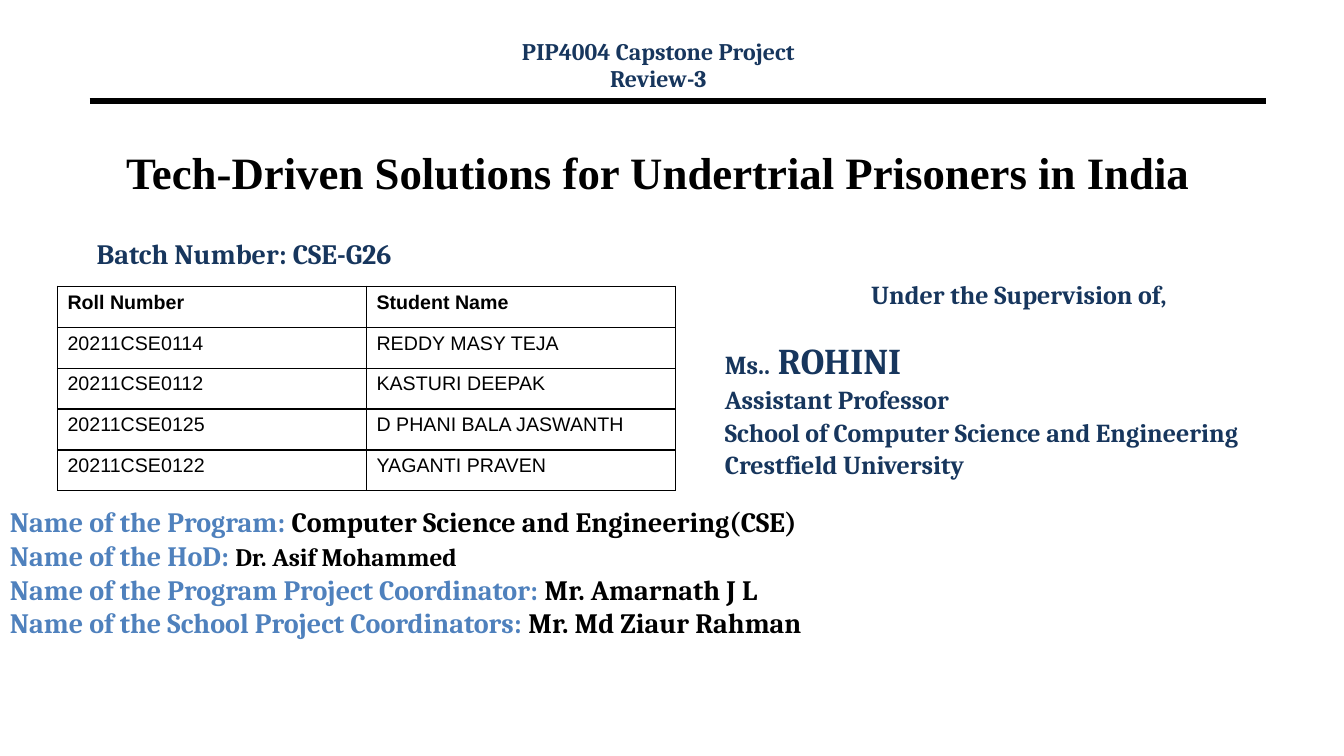
from lxml import etree
from pptx import Presentation
from pptx.dml.color import RGBColor
from pptx.enum.shapes import MSO_CONNECTOR
from pptx.enum.text import MSO_ANCHOR, PP_ALIGN
from pptx.oxml.ns import qn
from pptx.util import Inches, Pt

CENTER, LEFT = PP_ALIGN.CENTER, PP_ALIGN.LEFT
MIDDLE = MSO_ANCHOR.MIDDLE
STRAIGHT = MSO_CONNECTOR.STRAIGHT
TITLE_ONLY = 5

NAVY, BLUE, BLACK = "17365D", "4F81BD", "000000"

STUDENTS = [
    ("Roll Number", "Student Name"),
    ("20211CSE0114", "REDDY MASY TEJA"),
    ("20211CSE0112", "KASTURI DEEPAK"),
    ("20211CSE0125", "D PHANI BALA JASWANTH"),
    ("20211CSE0122", "YAGANTI PRAVEN"),
]
STAFF = [
    ("Name of the Program: ", "Computer Science and Engineering(CSE)", 20),
    ("Name of the HoD: ", "Dr. Asif Mohammed", 18),
    ("Name of the Program Project Coordinator: ", "Mr. Amarnath J L", 20),
    ("Name of the School Project Coordinators: ", "Mr. Md Ziaur Rahman", 20),
]
SUPERVISOR_DETAILS = [
    "Assistant Professor",
    "School of Computer Science and Engineering",
    "Crestfield University",
]


def rgb(value):
    return RGBColor.from_string(value)


def add_span(para, text, size=20, color=NAVY, font="Cambria", bold=True):
    span = para.add_run()
    span.text = text
    span.font.size = Pt(size)
    span.font.name = font
    span.font.bold = bold
    span.font.color.rgb = rgb(color)


def add_para(frame, align=LEFT, line=1.0, before=0):
    """Return a new paragraph, using the frame's first one while it is empty."""
    first = frame.paragraphs[0]
    para = frame.add_paragraph() if first.runs else first
    para.alignment = align
    para.line_spacing = line
    para.space_before = Pt(before)
    return para


def place(shape, left, top, width, height):
    shape.left, shape.top = Inches(left), Inches(top)
    shape.width, shape.height = Inches(width), Inches(height)


def add_box(page, left, top, width, height):
    box = page.shapes.add_textbox(
        Inches(left), Inches(top), Inches(width), Inches(height))
    box.text_frame.word_wrap = True
    return box.text_frame


def add_rule(page, left, right, y, width):
    rule = page.shapes.add_connector(
        STRAIGHT, Inches(left), Inches(y), Inches(right), Inches(y))
    rule.line.color.rgb = rgb(BLACK)
    rule.line.width = Pt(width)
    etree.SubElement(rule._element.spPr, qn("a:effectLst"))


def add_borders(cell, width=1):
    properties = cell._tc.get_or_add_tcPr()
    for index, side in enumerate(("lnL", "lnR", "lnT", "lnB")):
        border = etree.Element(qn(f"a:{side}"), w=str(Pt(width)))
        fill = etree.SubElement(border, qn("a:solidFill"))
        etree.SubElement(fill, qn("a:srgbClr"), val=BLACK)
        properties.insert(index, border)


def add_student_table(page, left, top, width, height):
    table = page.shapes.add_table(
        len(STUDENTS), len(STUDENTS[0]),
        Inches(left), Inches(top), Inches(width), Inches(height)).table
    for row, values in enumerate(STUDENTS):
        for column, text in enumerate(values):
            cell = table.cell(row, column)
            cell.fill.background()
            add_borders(cell)
            add_span(add_para(cell.text_frame), text, size=14, color=BLACK,
                     font="Arial", bold=row == 0)


def set_title(page, text):
    title = page.shapes.title
    place(title, 1.08, 1.38, 10.9, 0.64)
    frame = title.text_frame
    frame.word_wrap = False
    frame.vertical_anchor = MIDDLE
    add_span(add_para(frame, align=CENTER), text, size=32, color=BLACK,
             font="Times New Roman")


def add_supervisor(page):
    frame = add_box(page, 7.09, 2.75, 6.03, 2.21)
    add_span(add_para(frame, align=CENTER, line=0.9),
             "Under the Supervision of,", size=18.5)
    name = add_para(frame, line=0.9, before=23.4)
    add_span(name, "Ms..", size=18.5)
    add_span(name, " ROHINI", size=25.9)
    for text in SUPERVISOR_DETAILS:
        add_span(add_para(frame, line=0.9, before=3.4), text, size=18.5)


def add_staff(page):
    frame = add_box(page, 0, 4.96, 13.33, 1.71)
    for role, name, size in STAFF:
        para = add_para(frame)
        add_span(para, role, color=BLUE)
        add_span(para, name, size=size, color=BLACK)


def main():
    deck = Presentation()
    deck.slide_width, deck.slide_height = Inches(13.33), Inches(7.5)
    page = deck.slides.add_slide(deck.slide_layouts[TITLE_ONLY])

    add_rule(page, 0.89, 12.56, 1, 4.5)
    header = add_box(page, 4.36, 0.37, 4.34, 0.6)
    add_span(add_para(header, align=CENTER, line=0.8),
             "PIP4004 Capstone Project", size=17)
    add_span(add_para(header, align=CENTER, line=0.8, before=3.1),
             "Review-3", size=17)

    set_title(page, "Tech-Driven Solutions for Undertrial Prisoners in India")
    batch = add_box(page, 0.86, 2.3, 4.34, 0.6)
    add_span(add_para(batch), "Batch Number: CSE-G26")
    add_student_table(page, 0.57, 2.84, 6.13, 2.03)
    add_supervisor(page)
    add_staff(page)

    deck.save("out.pptx")


if __name__ == "__main__":
    main()
